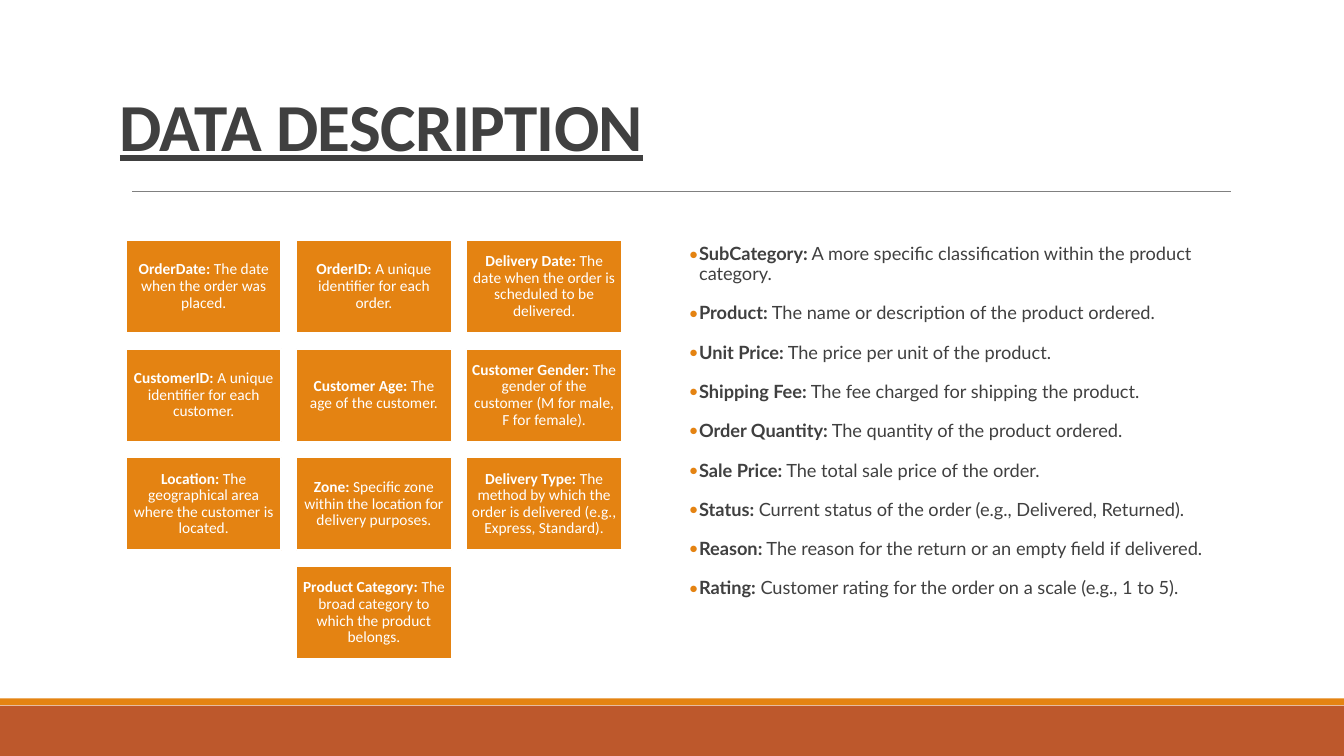
import pptx
import pptx.dml.color
import pptx.enum.shapes
import pptx.enum.text
import pptx.util
from lxml import etree
from pptx.oxml.ns import qn
from pptx.util import Cm

ORANGE, RUST, WHITE, DARK, GREY = "E48312", "BD582C", "FFFFFF", "404040", "808080"

# (column, row, field, meaning)
ORDER_FIELDS = [
    (0, 0, "OrderDate:", "The date when the order was placed."),
    (1, 0, "OrderID:", "A unique identifier for each order."),
    (2, 0, "Delivery Date:", "The date when the order is scheduled to be delivered."),
    (0, 1, "CustomerID:", "A unique identifier for each customer."),
    (1, 1, "Customer Age:", "The age of the customer."),
    (2, 1, "Customer Gender:", "The gender of the customer (M for male, F for female)."),
    (0, 2, "Location:", "The geographical area where the customer is located."),
    (1, 2, "Zone:", "Specific zone within the location for delivery purposes."),
    (2, 2, "Delivery Type:",
     "The method by which the order is delivered (e.g., Express, Standard)."),
    (1, 3, "Product Category:", "The broad category to which the product belongs."),
]
PRODUCT_FIELDS = [
    ("SubCategory:", "A more specific classification within the product category."),
    ("Product:", "The name or description of the product ordered."),
    ("Unit Price:", "The price per unit of the product."),
    ("Shipping Fee:", "The fee charged for shipping the product."),
    ("Order Quantity:", "The quantity of the product ordered."),
    ("Sale Price:", "The total sale price of the order."),
    ("Status:", "Current status of the order (e.g., Delivered, Returned)."),
    ("Reason:", "The reason for the return or an empty field if delivered."),
    ("Rating:", "Customer rating for the order on a scale (e.g., 1 to 5)."),
]


def rgb(color):
    return pptx.dml.color.RGBColor.from_string(color)


def format_run(run, font_name, size, color, bold):
    run.font.name = font_name
    run.font.size = pptx.util.Pt(size)
    run.font.color.rgb = rgb(color)
    run.font.bold = bold


def set_margins(text_frame, horizontal, vertical):
    text_frame.margin_left = text_frame.margin_right = Cm(horizontal)
    text_frame.margin_top = text_frame.margin_bottom = Cm(vertical)


def write_definition(paragraph, field, meaning, font_name, size, color):
    """Bold field name followed by its meaning."""
    paragraph.line_spacing = 0.9
    for text, bold in ((field, True), (" " + meaning, False)):
        run = paragraph.add_run()
        run.text = text
        format_run(run, font_name, size, color, bold)


def add_rectangle(slide, left, top, width, height, color):
    shape = slide.shapes.add_shape(
        pptx.enum.shapes.MSO_SHAPE.RECTANGLE, Cm(left), Cm(top), Cm(width), Cm(height))
    shape.shadow.inherit = False
    shape.fill.solid()
    shape.fill.fore_color.rgb = rgb(color)
    shape.line.fill.background()
    return shape


def add_text_box(slide, left, top, width, height):
    shape = slide.shapes.add_textbox(Cm(left), Cm(top), Cm(width), Cm(height))
    shape.text_frame.word_wrap = True
    return shape.text_frame


def add_rule(slide, left, right, y):
    rule = slide.shapes.add_connector(
        pptx.enum.shapes.MSO_CONNECTOR.STRAIGHT, Cm(left), Cm(y), Cm(right), Cm(y))
    rule.line.color.rgb = rgb(GREY)
    rule.line.width = pptx.util.Pt(0.5)
    etree.SubElement(rule._element.spPr, qn("a:effectLst"))


def add_title(slide, title):
    text_frame = add_text_box(slide, 2.77, 0.61, 29.2, 3.68)
    text_frame.vertical_anchor = pptx.enum.text.MSO_ANCHOR.BOTTOM
    text_frame.text = title
    paragraph = text_frame.paragraphs[0]
    paragraph.line_spacing = 0.85
    run = paragraph.runs[0]
    format_run(run, "Calibri", 48, DARK, True)
    run.font.underline = True
    run.font._element.set("spc", "-50")


def add_field_card(slide, column, row, field, meaning):
    card = add_rectangle(slide, 3.18 + 4.29 * column, 6.05 + 2.74 * row, 3.91, 2.34, ORANGE)
    card.line.color.rgb = rgb(WHITE)
    card.line.width = pptx.util.Pt(1.25)
    text_frame = card.text_frame
    text_frame.word_wrap = True
    text_frame.vertical_anchor = pptx.enum.text.MSO_ANCHOR.MIDDLE
    set_margins(text_frame, 0.12, 0.12)
    paragraph = text_frame.paragraphs[0]
    paragraph.alignment = pptx.enum.text.PP_ALIGN.CENTER
    write_definition(paragraph, field, meaning, "Calibri", 11, WHITE)


def add_bullet(paragraph, color):
    properties = paragraph._p.get_or_add_pPr()
    properties.set("marL", str(Cm(0.25)))
    properties.set("indent", str(-Cm(0.25)))
    bullet_color = etree.SubElement(properties, qn("a:buClr"))
    etree.SubElement(bullet_color, qn("a:srgbClr"), val=color)
    etree.SubElement(properties, qn("a:buFont"), typeface="Calibri")
    etree.SubElement(properties, qn("a:buChar"), char="•")


def add_field_list(slide, fields):
    text_frame = add_text_box(slide, 17.37, 6.05, 14.17, 10.54)
    set_margins(text_frame, 0, 0.13)
    for index, (field, meaning) in enumerate(fields):
        paragraph = text_frame.add_paragraph() if index else text_frame.paragraphs[0]
        write_definition(paragraph, field, meaning, "Lato", 13, DARK)
        paragraph.space_before = pptx.util.Pt(12)
        paragraph.space_after = pptx.util.Pt(2)
        add_bullet(paragraph, ORANGE)


def main():
    presentation = pptx.Presentation()
    presentation.slide_width = Cm(33.87)
    presentation.slide_height = Cm(19.05)
    slide = presentation.slides.add_slide(presentation.slide_layouts[6])

    # Footer bands
    add_rectangle(slide, 0, 17.78, 33.87, 1.27, RUST)
    add_rectangle(slide, 0, 17.6, 33.87, 0.17, ORANGE)

    # Heading
    add_rule(slide, 3.33, 31.01, 4.83)
    add_title(slide, "DATA DESCRIPTION")

    # Field cards on the left
    for column, row, field, meaning in ORDER_FIELDS:
        add_field_card(slide, column, row, field, meaning)

    # Bulleted fields on the right
    add_field_list(slide, PRODUCT_FIELDS)

    presentation.save("out.pptx")


if __name__ == "__main__":
    main()
